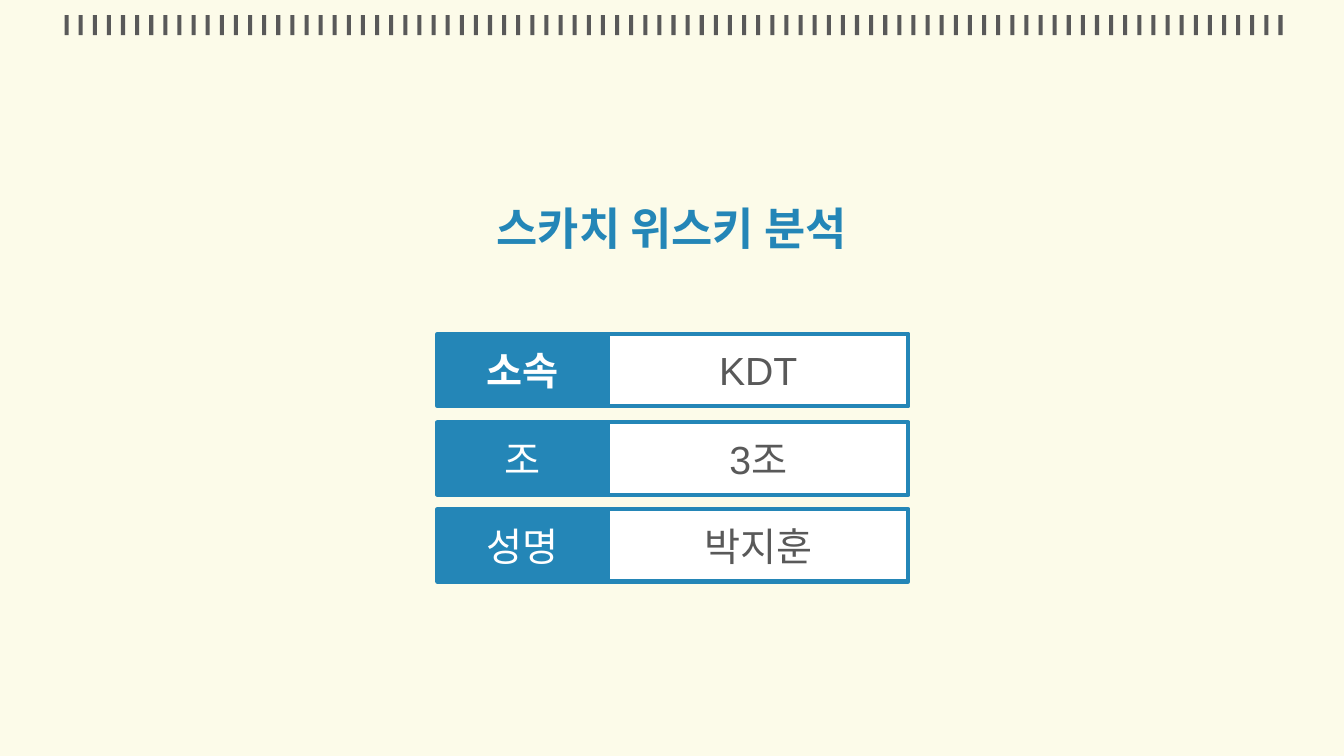
from lxml.etree import SubElement
from pptx import Presentation
from pptx.dml.color import RGBColor
from pptx.enum.shapes import MSO_SHAPE
from pptx.enum.text import MSO_ANCHOR, PP_ALIGN
from pptx.oxml.ns import qn
from pptx.util import Pt

TITLE = "스카치 위스키 분석"
ROWS = [
    (331, "소속", "KDT", True),
    (419, "조", "3조", False),
    (505, "성명", "박지훈", False),
]
COLS = [(434, 169), (603, 298)]
HIGH = 72
BLUE, GRAY, WHITE, CREAM = "2486B7", "595959", "FFFFFF", "FCFBE9"
TICKS, LEFT, TOP, STEP, WIDE, TALL = 87, 64, 15, 14, 4, 20
SCALE = 9144


def px(*nums):
    return [n * SCALE for n in nums]


def color(code):
    return RGBColor.from_string(code)


def paint(shape, code):
    shape.shadow.inherit = False
    shape.fill.solid()
    shape.fill.fore_color.rgb = color(code)


def write(frame, text, size, code, bold, face):
    para = frame.paragraphs[0]
    para.text = text
    para.alignment = PP_ALIGN.CENTER
    font = para.font
    font.size, font.bold, font.name = Pt(size), bold, face
    font.color.rgb = color(code)
    return para


def ruler(slide):
    build = slide.shapes.build_freeform(LEFT, TOP, SCALE)
    for i in range(TICKS):
        x = LEFT + i * STEP
        if i:
            build.move_to(x, TOP)
        build.add_line_segments(
            [(x + WIDE, TOP), (x + WIDE, TOP + TALL), (x, TOP + TALL)], close=True
        )
    shape = build.convert_to_shape()
    paint(shape, GRAY)
    shape.line.fill.background()


def cell(slide, col, top, text, fill, ink, bold):
    left, width = col
    box = slide.shapes.add_shape(MSO_SHAPE.RECTANGLE, *px(left, top, width, HIGH))
    paint(box, fill)
    box.line.color.rgb = color(BLUE)
    box.line.width = Pt(3)
    box.text_frame.vertical_anchor = MSO_ANCHOR.MIDDLE
    write(box.text_frame, text, 28, ink, bold, "Arial")


def title(slide):
    frame = slide.shapes.add_textbox(*px(365, 168, 603, 114)).text_frame
    frame.word_wrap = True
    face = "Noto Sans CJK KR"
    para = write(frame, TITLE, 32, BLUE, True, face)
    para.line_spacing = 1.5
    props = para._p.pPr.find(qn("a:defRPr"))
    SubElement(props, qn("a:ea")).set("typeface", face)


def main():
    deck = Presentation()
    deck.slide_width, deck.slide_height = px(1333, 750)
    slide = deck.slides.add_slide(deck.slide_layouts[6])
    slide.background.fill.solid()
    slide.background.fill.fore_color.rgb = color(CREAM)
    ruler(slide)
    for top, label, value, bold in ROWS:
        cell(slide, COLS[0], top, label, BLUE, WHITE, bold)
        cell(slide, COLS[1], top, value, WHITE, GRAY, False)
    title(slide)
    deck.save("out.pptx")


if __name__ == "__main__":
    main()
